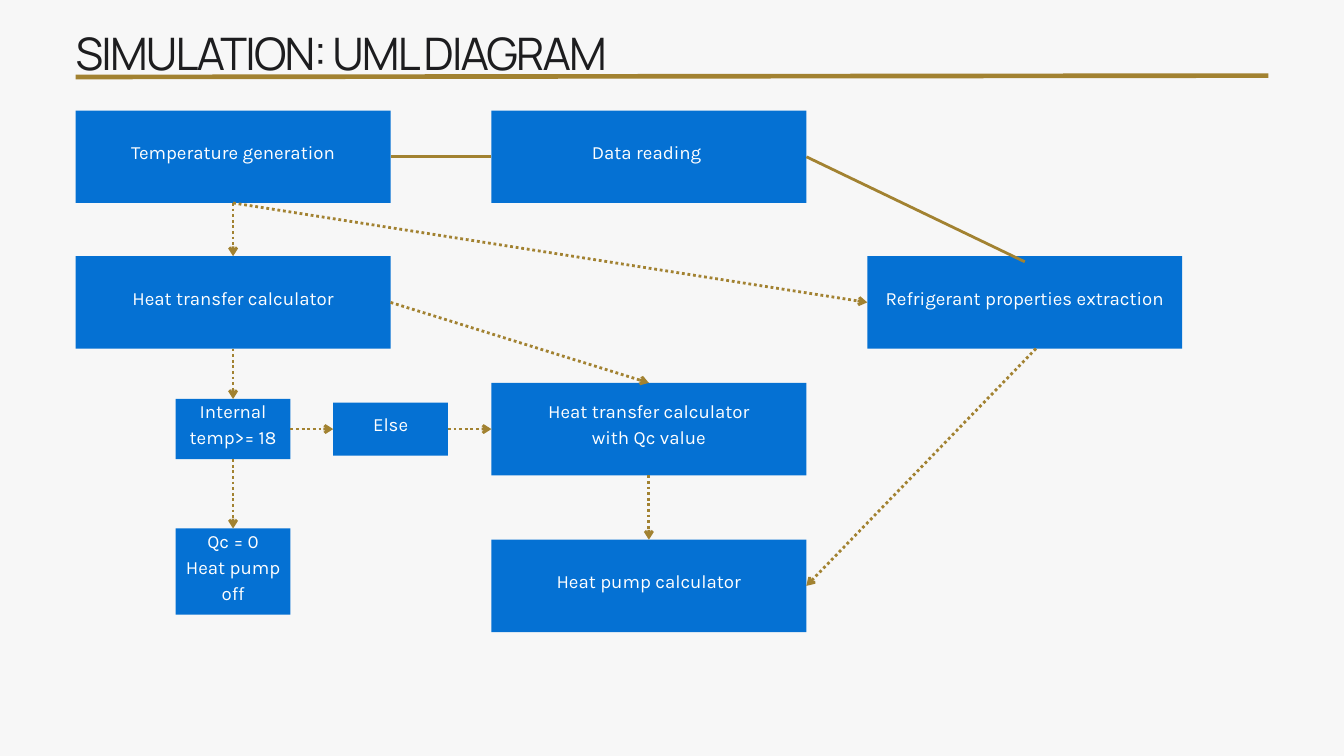
from pptx import Presentation
from pptx.dml.color import RGBColor
from pptx.enum.dml import MSO_LINE
from pptx.enum.shapes import MSO_CONNECTOR, MSO_SHAPE
from pptx.enum.text import MSO_ANCHOR, PP_ALIGN
from pptx.oxml.ns import qn
from pptx.util import Pt
from lxml.etree import SubElement

SCALE = 9525
BLUE, GOLD, INK, WHITE, PAPER = "0571D3", "A28231", "1D1D1F", "FFFFFF", "F7F7F7"
TOP, LEFT, BOTTOM, RIGHT = range(4)

LEFT_COL, MID_COL, RIGHT_COL = 108, 702, 1239
STEP_COL, ELSE_COL = 251, 476
WIDE, HIGH, NARROW = 450, 132, 164
TEXT_RISE, INSET = 19, 6

NODES = {
    "temperature": (LEFT_COL, 158, WIDE, HIGH, ["Temperature generation"]),
    "transfer": (LEFT_COL, 366, WIDE, HIGH, ["Heat transfer calculator"]),
    "internal": (STEP_COL, 570, NARROW, 86, ["Internal temp>= 18"]),
    "else": (ELSE_COL, 575, NARROW, 76, ["Else"]),
    "transfer_qc": (MID_COL, 547, WIDE, HIGH, ["Heat transfer calculator", "with Qc value"]),
    "pump": (MID_COL, 771, WIDE, HIGH, ["Heat pump calculator"]),
    "data": (MID_COL, 158, WIDE, HIGH, ["Data reading "]),
    "refrigerant": (RIGHT_COL, 366, WIDE, HIGH, ["Refrigerant properties extraction"]),
    "pump_off": (STEP_COL, 755, NARROW, 123, ["Qc = 0", "Heat pump off"]),
}

ARROWS = [
    (("temperature", BOTTOM), ("transfer", TOP)),
    (("transfer", RIGHT), ("transfer_qc", TOP)),
    (("temperature", BOTTOM), ("refrigerant", LEFT)),
    (("transfer_qc", BOTTOM), ("pump", TOP)),
    (("internal", RIGHT), ("else", LEFT)),
    (("else", RIGHT), ("transfer_qc", LEFT)),
    (("internal", BOTTOM), ("pump_off", TOP)),
    (("transfer", BOTTOM), ("internal", TOP)),
    ((1480, 498), ("pump", RIGHT)),
]

LINKS = [
    (("data", LEFT), ("temperature", RIGHT)),
    ((1464, 374), ("data", RIGHT)),
]


def px(length):
    return int(length * SCALE)


def color(value):
    return RGBColor.from_string(value)


def add_text(page, left, top, width, height, lines, face, size, leading, ink,
             inset=0, align=PP_ALIGN.LEFT, anchor=MSO_ANCHOR.TOP, tracking=0):
    box = page.shapes.add_textbox(px(left), px(top), px(width), px(height))
    frame = box.text_frame
    frame.word_wrap = True
    frame.vertical_anchor = anchor
    frame.margin_left = frame.margin_right = px(inset)
    frame.margin_top = frame.margin_bottom = px(inset)
    for index, line in enumerate(lines):
        para = frame.add_paragraph() if index else frame.paragraphs[0]
        para.alignment = align
        para.line_spacing = Pt(leading)
        para.font.name = face
        para.font.size = Pt(size)
        para.font.color.rgb = color(ink)
        span = para.add_run()
        span.text = line
        if tracking:
            span._r.get_or_add_rPr().set("spc", str(tracking))


def add_line(page, start, end, weight, nodes=None, arrow=False):
    joins = [isinstance(place[0], str) for place in (start, end)]
    begin_x, begin_y = (0, 0) if joins[0] else start
    end_x, end_y = (0, 0) if joins[1] else end
    line = page.shapes.add_connector(
        MSO_CONNECTOR.STRAIGHT, px(begin_x), px(begin_y), px(end_x), px(end_y))
    if joins[0]:
        line.begin_connect(nodes[start[0]], start[1])
    if joins[1]:
        line.end_connect(nodes[end[0]], end[1])
    line.line.color.rgb = color(GOLD)
    line.line.width = Pt(weight)
    properties = line._element.spPr
    if arrow:
        line.line.dash_style = MSO_LINE.ROUND_DOT
        SubElement(properties.find(qn("a:ln")), qn("a:tailEnd"), type="arrow")
    SubElement(properties, qn("a:effectLst"))


def add_header(page, left, top, width):
    add_text(page, left, top, 1057, 84, ["SIMULATION: UML DIAGRAM"],
             "Manrope", 48, 67.2, INK, tracking=-192)
    add_line(page, (left, top + 86), (left + width, top + 84), 5)


def add_node(page, left, top, width, height, lines):
    node = page.shapes.add_shape(
        MSO_SHAPE.RECTANGLE, px(left), px(top), px(width), px(height))
    node.shadow.inherit = False
    node.fill.solid()
    node.fill.fore_color.rgb = color(BLUE)
    node.line.fill.background()
    add_text(page, left, top - TEXT_RISE, width, height + TEXT_RISE, lines,
             "Karla", 20, 28, WHITE, INSET, PP_ALIGN.CENTER, MSO_ANCHOR.MIDDLE)
    return node


def add_diagram(page):
    nodes = {name: add_node(page, *parts) for name, parts in NODES.items()}
    for start, end in LINKS:
        add_line(page, start, end, 3, nodes)
    for start, end in ARROWS:
        add_line(page, start, end, 3, nodes, arrow=True)


def main():
    deck = Presentation()
    deck.slide_width, deck.slide_height = px(1920), px(1080)
    page = deck.slides.add_slide(deck.slide_layouts[6])
    page.background.fill.solid()
    page.background.fill.fore_color.rgb = color(PAPER)
    add_header(page, LEFT_COL, 24, 1704)
    add_diagram(page)
    deck.save("out.pptx")


if __name__ == "__main__":
    main()
